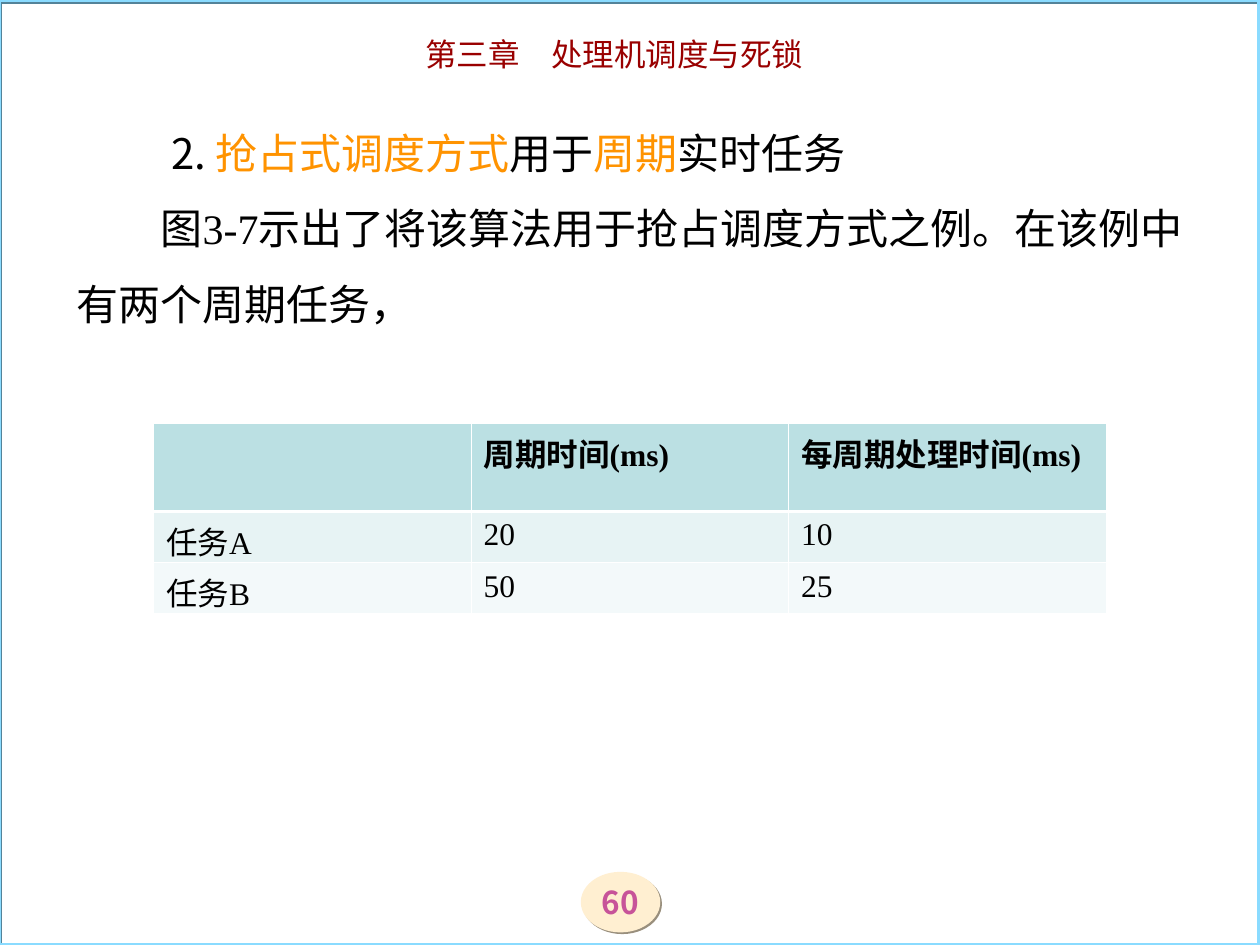
"""Build the slide on preemptive scheduling of periodic real-time tasks."""
from lxml.etree import SubElement
from pptx import Presentation
from pptx.dml.color import RGBColor
from pptx.enum.shapes import MSO_SHAPE as Shape
from pptx.enum.text import MSO_ANCHOR as Anchor, PP_ALIGN as Align
from pptx.oxml.ns import qn
from pptx.util import Pt

SERIF, SANS, HEADER_FONT = "Times New Roman", "Noto Sans CJK SC", "Noto Sans CJK JP"
BLACK, ORANGE, WHITE = "000000", "FF9300", "FFFFFF"

CHAPTER = "第三章　处理机调度与死锁"
PAGE_NUMBER = "60"
BODY = [
    (54, [("2. ", SANS, BLACK), ("抢占式调度方式", SANS, ORANGE), ("用于", SANS, BLACK),
          ("周期", SANS, ORANGE), ("实时任务", SANS, BLACK)]),
    (48, [("图3-7示出了将该算法用于抢占调度方式之例。在该例中有两个周期任务，", SERIF, BLACK)]),
]
TASKS = [
    ("", "周期时间(ms)", "每周期处理时间(ms)"),
    ("任务A", "20", "10"),
    ("任务B", "50", "25"),
]
ROW_FILLS = ["BBE0E3", "E7F3F4", "F3F9FA"]
ROW_HEIGHTS = [50.4, 29.2, 29.2]
COLUMN_WIDTH = 181.4
THIN, THICK = 0.45, 1.47


def color(value):
    return RGBColor.from_string(value)


def box(left, top, width, height):
    return Pt(left), Pt(top), Pt(width), Pt(height)


def style(run, size, name, fill, bold=False, east_asian=SANS):
    font = run.font
    font.size, font.name, font.bold = Pt(size), name, bold
    font.color.rgb = color(fill)
    SubElement(font._element, qn("a:ea"), typeface=east_asian)


def add_shadow(shape, fill):
    effects = SubElement(shape._element.spPr, qn("a:effectLst"))
    shadow = SubElement(effects, qn("a:outerShdw"), dist=str(Pt(1.4)), dir="2700000",
                        algn="ctr", rotWithShape="0")
    SubElement(shadow, qn("a:srgbClr"), val=fill)


def add_border(cell, side, width):
    line = SubElement(cell._tc.get_or_add_tcPr(), qn(f"a:ln{side}"), w=str(Pt(width)))
    SubElement(SubElement(line, qn("a:solidFill")), qn("a:srgbClr"), val=WHITE)


def add_page_number(slide):
    badge = slide.shapes.add_shape(Shape.OVAL, *box(331.9, 498.2, 45.4, 34.6))
    badge.fill.solid()
    badge.fill.fore_color.rgb = color("FFEFD1")
    badge.line.fill.background()
    add_shadow(badge, "998F7D")
    frame = badge.text_frame
    frame.margin_left = frame.margin_right = frame.margin_top = frame.margin_bottom = 0
    frame.vertical_anchor = Anchor.MIDDLE
    frame.text = PAGE_NUMBER
    frame.paragraphs[0].alignment = Align.CENTER
    style(frame.paragraphs[0].runs[0], 18, SANS, "C75399", True)


def add_page_frame(slide):
    border = slide.shapes.add_shape(Shape.RECTANGLE, *box(-0.7, 0, 720, 540))
    border.fill.background()
    border.line.color.rgb = color("8ADBFF")
    border.line.width = Pt(2.25)
    add_shadow(border, "538399")


def add_chapter(slide):
    frame = slide.shapes.add_textbox(*box(149.8, 16.6, 402.5, 28.8)).text_frame
    frame.word_wrap = True
    frame.text = CHAPTER
    frame.paragraphs[0].alignment = Align.CENTER
    style(frame.paragraphs[0].runs[0], 18, HEADER_FONT, "990000", east_asian=HEADER_FONT)


def add_body(slide):
    frame = slide.shapes.add_textbox(*box(36.7, 54.7, 646.6, 436.3)).text_frame
    frame.word_wrap = True
    for index, (indent, pieces) in enumerate(BODY):
        paragraph = frame.add_paragraph() if index else frame.paragraphs[0]
        paragraph.line_spacing = 1.5
        paragraph._p.get_or_add_pPr().set("indent", str(Pt(indent)))
        for words, name, fill in pieces:
            run = paragraph.add_run()
            run.text = words
            style(run, 24, name, fill)


def add_tasks(slide):
    columns = len(TASKS[0])
    table = slide.shapes.add_table(
        len(TASKS), columns, *box(87.8, 241.9, COLUMN_WIDTH * columns, sum(ROW_HEIGHTS))).table
    for column in table.columns:
        column.width = Pt(COLUMN_WIDTH)
    for row, values in enumerate(TASKS):
        table.rows[row].height = Pt(ROW_HEIGHTS[row])
        for column, value in enumerate(values):
            cell = table.cell(row, column)
            add_border(cell, "L", THIN)
            add_border(cell, "R", THIN)
            add_border(cell, "T", THICK if row == 1 else THIN)
            add_border(cell, "B", THICK if row == 0 else THIN)
            cell.fill.solid()
            cell.fill.fore_color.rgb = color(ROW_FILLS[row])
            cell.text_frame.text = value
            for run in cell.text_frame.paragraphs[0].runs:
                style(run, 18, SERIF, BLACK, row == 0)


def main():
    deck = Presentation()
    deck.slide_width, deck.slide_height = Pt(720), Pt(540)
    slide = deck.slides.add_slide(deck.slide_layouts[6])
    for add_part in (add_page_number, add_page_frame, add_chapter, add_body, add_tasks):
        add_part(slide)
    deck.save("out.pptx")


if __name__ == "__main__":
    main()
